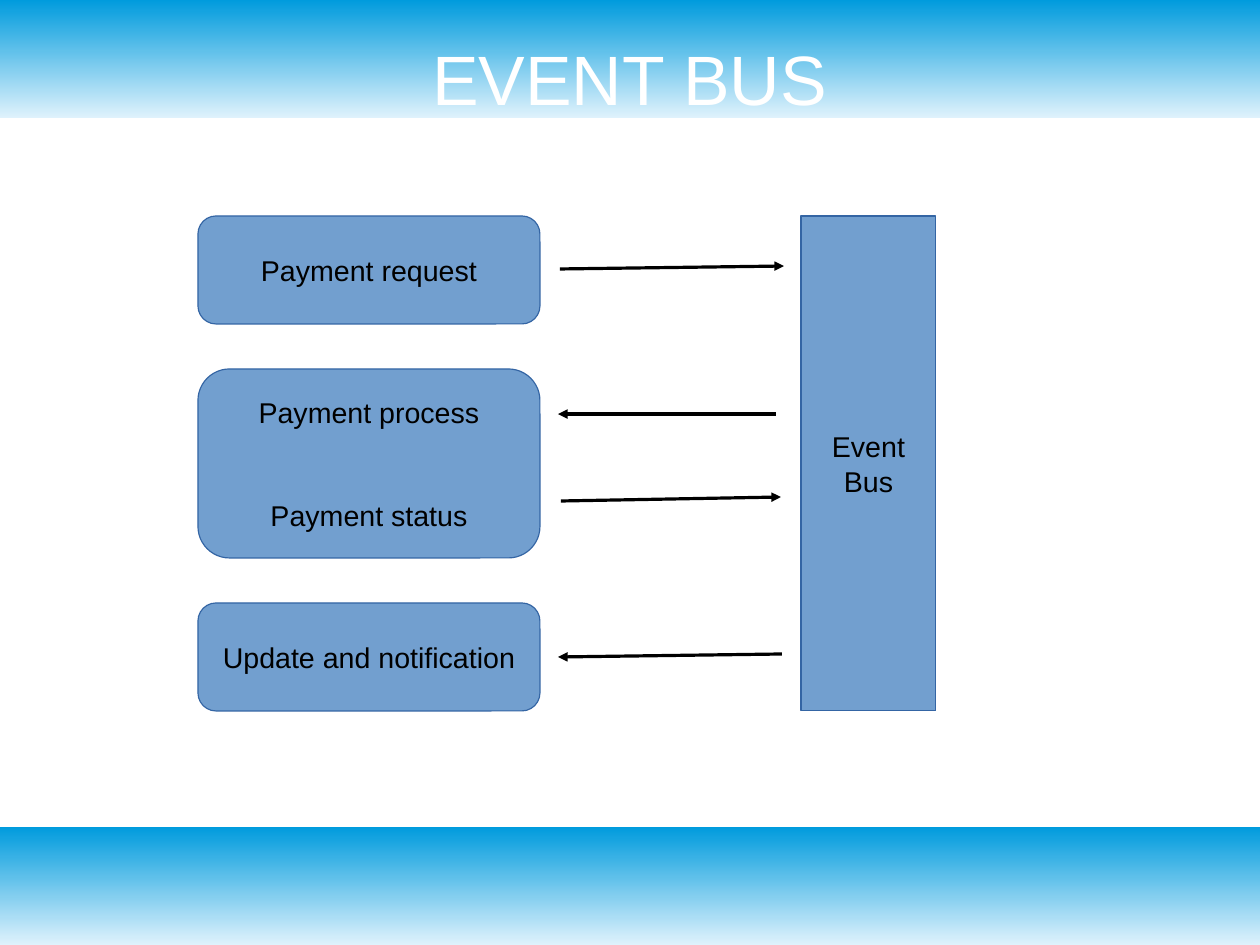
from pptx import Presentation
from pptx.dml.color import RGBColor
from pptx.enum import shapes, text
from pptx.oxml import parse_xml
from pptx.oxml.ns import nsdecls
from pptx.util import Pt

# Content, lengths in px
PX = 8000
WIDE, HIGH = 1260, 945
BAND = 118
TITLE = "EVENT BUS"
LEFT, TOP, STEP_W, GAP = 198, 216, 342, 45
STEPS = [
    (108, ["Payment request"]),
    (189, ["Payment process", "Payment status"]),
    (108, ["Update and notification"]),
]
BUS = (801, 135, ["Event", "Bus"])
ARROWS = [
    (560, 269, 784, 266),
    (776, 414, 558, 414),
    (561, 501, 781, 497),
    (782, 654, 558, 657),
]

FONT = "Arial"
PALE = RGBColor(0xDF, 0xF2, 0xFC)
SKY = RGBColor(0x00, 0x9B, 0xDD)
FILL = RGBColor(0x72, 0x9F, 0xCF)
EDGE = RGBColor(0x34, 0x65, 0xA4)
WHITE = RGBColor(0xFF, 0xFF, 0xFF)
BLACK = RGBColor(0, 0, 0)

deck = Presentation()
deck.slide_width, deck.slide_height = WIDE * PX, HIGH * PX
slide = deck.slides.add_slide(deck.slide_layouts[6])


def scale(*sizes):
    return [size * PX for size in sizes]


def write(frame, lines, size, color, space=0):
    frame.vertical_anchor = text.MSO_ANCHOR.MIDDLE
    for i, line in enumerate(lines):
        para = frame.add_paragraph() if i else frame.paragraphs[0]
        para.alignment = text.PP_ALIGN.CENTER
        para.space_before = Pt(space if i else 0)
        run = para.add_run()
        run.text = line
        run.font.name, run.font.size = FONT, Pt(size)
        run.font.color.rgb = color


def add_box(kind, x, y, w, h, lines, space=0):
    box = slide.shapes.add_shape(kind, *scale(x, y, w, h))
    box.shadow.inherit = False
    box.fill.solid()
    box.fill.fore_color.rgb = FILL
    box.line.color.rgb = EDGE
    box.line.width = 0
    box.text_frame.word_wrap = False
    write(box.text_frame, lines, 18, BLACK, space)


# Gradient bands at the top and bottom
for y in (0, HIGH - BAND):
    band = slide.shapes.add_shape(shapes.MSO_SHAPE.RECTANGLE, *scale(0, y, WIDE, BAND))
    band.shadow.inherit = False
    band.line.fill.background()
    band.fill.gradient()
    band.fill.gradient_angle = 90
    for stop, color in zip(band.fill.gradient_stops, (PALE, SKY)):
        stop.color.rgb = color

# Title
head = slide.shapes.add_textbox(*scale(63, 38, WIDE - 2 * 63, 80)).text_frame
head.word_wrap = True
head.margin_left = head.margin_right = head.margin_top = head.margin_bottom = 0
write(head, [TITLE], 44, WHITE)

# Payment steps, stacked with equal gaps
y = TOP
for h, lines in STEPS:
    add_box(shapes.MSO_SHAPE.ROUNDED_RECTANGLE, LEFT, y, STEP_W, h, lines, 43)
    y += h + GAP

# Event bus, as tall as the stack
x, w, lines = BUS
add_box(shapes.MSO_SHAPE.RECTANGLE, x, TOP, w, y - GAP - TOP, lines)

# Arrows between steps and bus
for ends in ARROWS:
    arrow = slide.shapes.add_connector(shapes.MSO_CONNECTOR.STRAIGHT, *scale(*ends))
    arrow.line.color.rgb = BLACK
    arrow.line.width = 0
    arrow.line._get_or_add_ln().append(
        parse_xml(f'<a:tailEnd {nsdecls("a")} type="triangle"/>'))
    arrow._element.spPr.append(parse_xml(f'<a:effectLst {nsdecls("a")}/>'))

deck.save("out.pptx")
